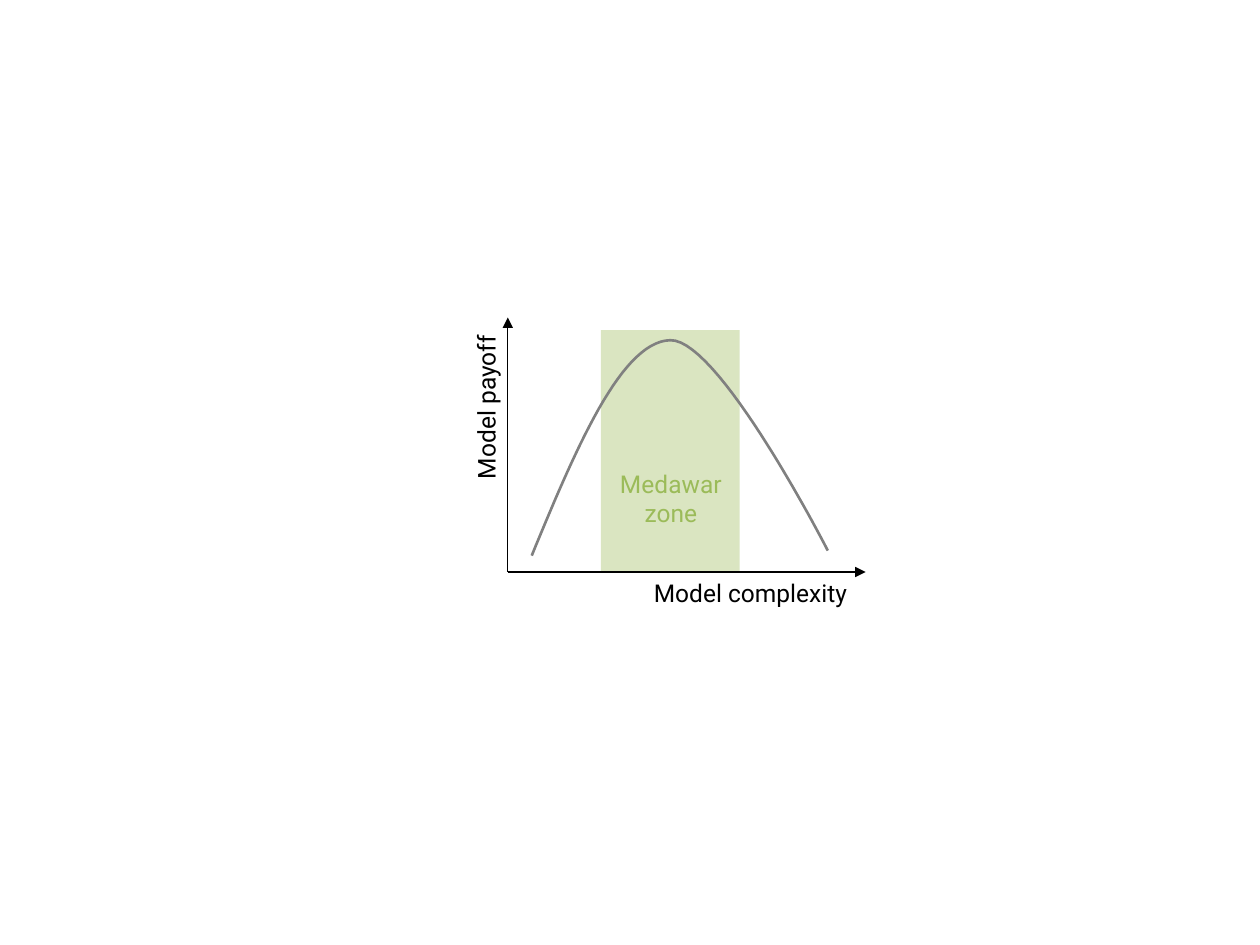
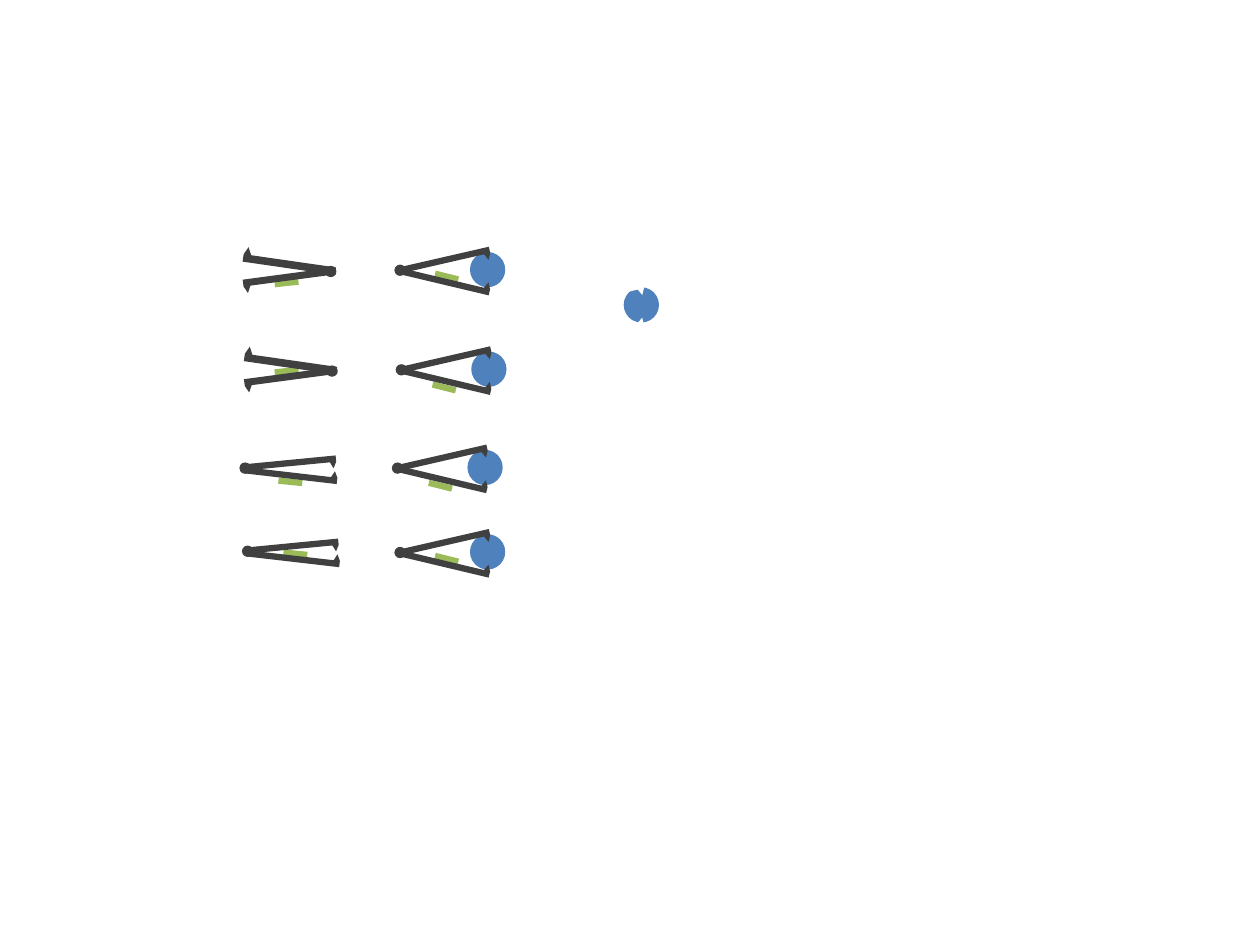
"""Build a payoff curve slide and a slide of hinged clamps gripping balls."""
import pptx
import pptx.util
import pptx.dml.color
import pptx.enum.shapes
import pptx.enum.text
import pptx.oxml.ns
import lxml.etree

PX = 9144
FONT = "Roboto"
COLORS = {"green": "9BBB59", "blue": "4F81BD", "dark": "404040",
          "gray": "808080", "black": "000000", "white": "FFFFFF"}
SHAPES = pptx.enum.shapes.MSO_SHAPE
ALIGN = pptx.enum.text.PP_ALIGN


def rgb(name):
    """Return the palette colour as an RGBColor."""
    return pptx.dml.color.RGBColor.from_string(COLORS[name])


def add_part(shapes, kind, box, color, rotation=0, flipped=False):
    """Add a filled shape without outline; box is in px."""
    shape = shapes.add_shape(kind, *[length * PX for length in box])
    shape.shadow.inherit = False
    shape.fill.solid()
    shape.fill.fore_color.rgb = rgb(color)
    shape.line.fill.background()
    shape.rotation = rotation
    if flipped:
        shape._element.spPr.xfrm.set("flipV", "1")
    return shape


presentation = pptx.Presentation()
presentation.slide_width = 1000 * PX
presentation.slide_height = 750 * PX
blank_layout = presentation.slide_layouts[6]

payoff_slide = presentation.slides.add_slide(blank_layout)
zone = add_part(payoff_slide.shapes, SHAPES.RECTANGLE, (477, 262, 110, 192), "green")
zone_color = zone._element.spPr.find(".//" + pptx.oxml.ns.qn("a:srgbClr"))
lxml.etree.SubElement(zone_color, pptx.oxml.ns.qn("a:alpha"), val="37000")

origin = (403, 454)
for axis_end in [(687, 454), (403, 252)]:
    axis = payoff_slide.shapes.add_connector(
        pptx.enum.shapes.MSO_CONNECTOR.STRAIGHT,
        *[length * PX for length in origin + axis_end])
    axis.line.color.rgb = rgb("black")
    axis.line.width = pptx.util.Pt(0.75)
    axis_line = axis.line._get_or_add_ln()
    lxml.etree.SubElement(axis_line, pptx.oxml.ns.qn("a:tailEnd"), type="triangle")
    lxml.etree.SubElement(axis._element.spPr, pptx.oxml.ns.qn("a:effectLst"))

labels = [
    (["Model complexity"], (509, 454, 179, 34), 0, "black", ALIGN.LEFT),
    (["Model payoff"], (317, 304, 138, 34), 270, "black", ALIGN.LEFT),
    (["Medawar", "zone"], (481, 367, 103, 57), 0, "green", ALIGN.CENTER),
]

curve_pieces = [
    [(422, 441), (457, 356), (493, 271), (532, 270)],
    [(532, 270), (571, 269), (657, 437), (657, 437)],
]
STEPS = 30
curve_points = []
for piece in curve_pieces:
    for step in range(1, STEPS + 1):
        t = step / STEPS
        weights = ((1 - t) ** 3, 3 * t * (1 - t) ** 2, 3 * t ** 2 * (1 - t), t ** 3)
        curve_points.append(tuple(
            PX * sum(weight * point[axis] for weight, point in zip(weights, piece))
            for axis in (0, 1)))
start_x, start_y = curve_pieces[0][0]
builder = payoff_slide.shapes.build_freeform(start_x * PX, start_y * PX)
builder.add_line_segments(curve_points, close=False)
payoff_curve = builder.convert_to_shape()
payoff_curve.shadow.inherit = False
payoff_curve.fill.background()
payoff_curve.line.color.rgb = rgb("gray")
payoff_curve.line.width = pptx.util.Pt(1.5)

for lines, box, rotation, color, alignment in labels:
    label = payoff_slide.shapes.add_textbox(*[length * PX for length in box])
    label.rotation = rotation
    frame = label.text_frame
    frame.word_wrap = False
    frame.auto_size = pptx.enum.text.MSO_AUTO_SIZE.SHAPE_TO_FIT_TEXT
    for index, line in enumerate(lines):
        paragraph = frame.add_paragraph() if index else frame.paragraphs[0]
        paragraph.alignment = alignment
        run = paragraph.add_run()
        run.text = line
        run.font.name = FONT
        run.font.size = pptx.util.Pt(14)
        run.font.color.rgb = rgb(color)

clamp_slide = presentation.slides.add_slide(blank_layout)

# Every offset below is measured from the top left of the hinge.
POSTURES = {
    "gripping": {
        "bars": {"inside": (32, 7), "outside": (29, 16)}, "bar_turn": 14,
        "arms": [((3, 6, 74, 10), 13.4, False), ((3, -6, 74, 10), 347.1, True)]},
    "facing left": {
        "bars": {"inside": (-41, 2), "outside": (-40, 11)}, "bar_turn": 173.7,
        "arms": [((-65, -10, 74, 12), 188.2, True), ((-65, 6, 74, 11), 172.4, False)]},
    "facing right": {
        "bars": {"inside": (33, 4), "outside": (31, 13)}, "bar_turn": 5.7,
        "arms": [((4, 3, 74, 10), 6.6, False), ((3, -2, 74, 10), 354.5, True)]},
}
clamps = [
    ("gripping", (314, 289), "outside", "dark"),
    ("facing left", (259, 290), "inside", "dark"),
    ("gripping", (435, 238), None, "white"),
    ("gripping", (313, 210), "inside", "dark"),
    ("facing left", (258, 211), "outside", "dark"),
    ("gripping", (313, 434), "inside", "dark"),
    ("facing right", (192, 433), "inside", "dark"),
    ("gripping", (311, 367), "outside", "dark"),
    ("facing right", (190, 367), "outside", "dark"),
]
for posture_name, (hinge_x, hinge_y), bar_side, arm_color in clamps:
    posture = POSTURES[posture_name]
    clamp = clamp_slide.shapes.add_group_shape().shapes
    if bar_side:
        bar_x, bar_y = posture["bars"][bar_side]
        add_part(clamp, SHAPES.RECTANGLE, (hinge_x + bar_x, hinge_y + bar_y, 19, 5),
                 "green", posture["bar_turn"])
    if posture_name == "gripping":
        add_part(clamp, SHAPES.OVAL, (hinge_x + 60, hinge_y - 10, 28, 28), "blue")
    for (arm_x, arm_y, width, height), rotation, flipped in posture["arms"]:
        arm = add_part(clamp, SHAPES.BENT_UP_ARROW,
                       (hinge_x + arm_x, hinge_y + arm_y, width, height),
                       arm_color, rotation, flipped)
        for index, adjustment in enumerate((0.5, 0.25, 0.5)):
            arm.adjustments[index] = adjustment
    if bar_side:
        add_part(clamp, SHAPES.OVAL, (hinge_x, hinge_y, 9, 9), "dark")

presentation.save("out.pptx")
